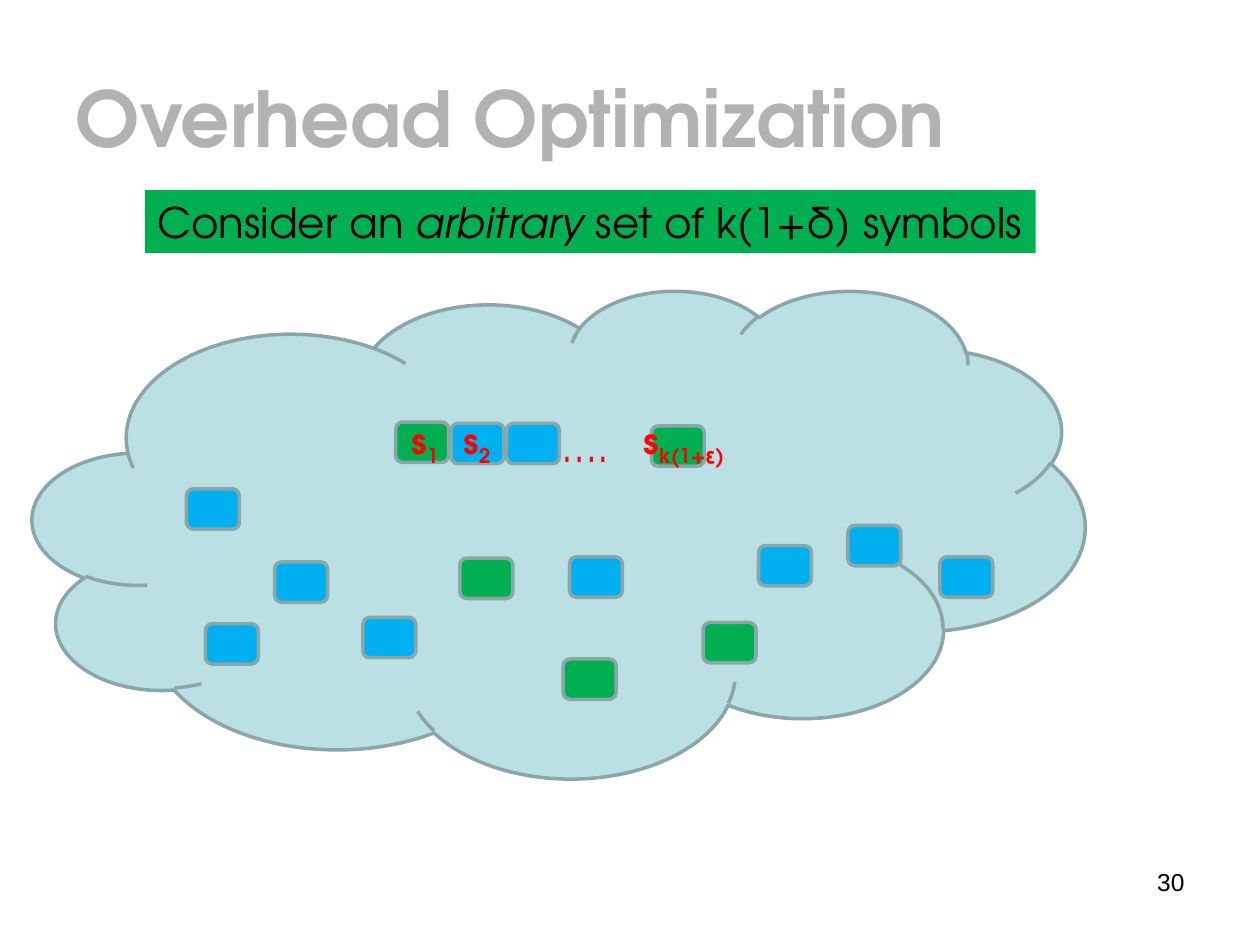
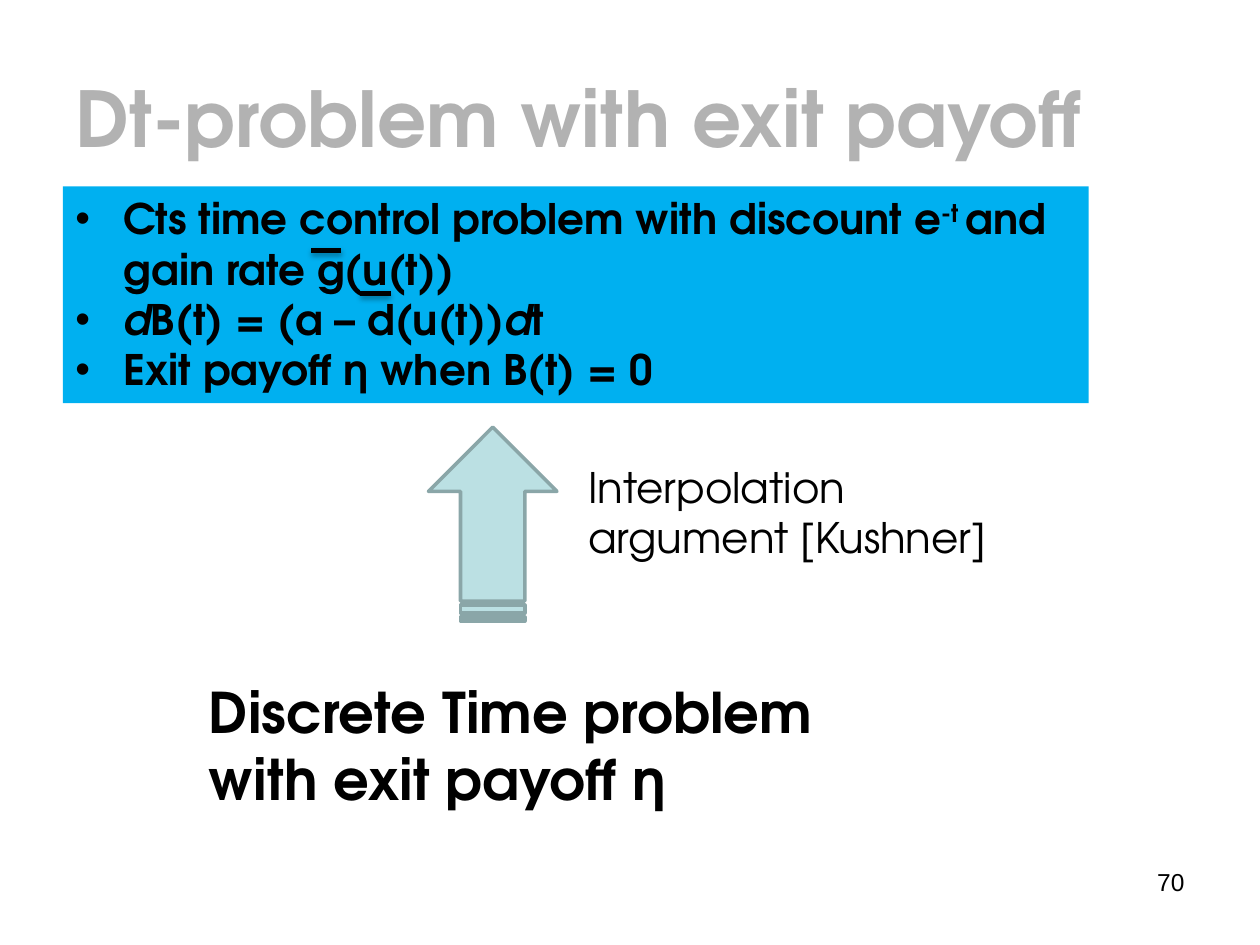
import pptx
import pptx.util
import pptx.dml.color
import pptx.enum.shapes
import pptx.enum.text
import pptx.oxml
import pptx.oxml.ns

Inches = pptx.util.Inches
Pt = pptx.util.Pt
KIND = pptx.enum.shapes.MSO_SHAPE
ALIGN = pptx.enum.text.PP_ALIGN
ANCHOR = pptx.enum.text.MSO_ANCHOR
FIT = pptx.enum.text.MSO_AUTO_SIZE

FACE = "TeX Gyre Adventor"
BLACK, GREY, RED = "000000", "B2B2B2", "FF0000"
BLUE, GREEN, PALE, EDGE = "00B0F0", "00B050", "BBE0E3", "8AA6A8"

# A run is plain text or (text, style): "i" italic, or a baseline shift in percent.
CLAIM = ["Consider an ", ("arbitrary", "i"), " set of k(1+δ) symbols"]
TILE = (0.42, 0.32)
TILES = {
    BLUE: [(3.58, 3.36), (4.02, 3.36), (2.18, 4.46), (1.63, 4.95),
           (6.02, 4.33), (2.88, 4.9), (4.52, 4.42), (7.46, 4.42),
           (1.48, 3.88), (6.73, 4.17)],
    GREEN: [(3.14, 3.35), (5.17, 3.38), (5.58, 4.94), (4.47, 5.23),
            (3.65, 4.43)],
}
MARKS = [(3.17, 0.5, "1"), (3.58, 0.5, "2"), (5.01, 0.96, "k(1+ε)")]

MODEL = [
    ["Cts time control problem with discount e", ("-t ", 30),
     "and gain rate g(u(t))"],
    [("d", "i"), "B(t) = (a – d(u(t))", ("d", "i"), "t"],
    ["Exit payoff η when B(t) = 0"],
]
BARS = [(2.47, 1.99), (2.86, 2.33)]
BAR = 0.24


def color(code):
    return pptx.dml.color.RGBColor.from_string(code)


def xml(parent, text):
    """Append one drawing element to parent."""
    head, tail = text.split(" ", 1) if " " in text else (text, "")
    space = pptx.oxml.ns.nsdecls("a")
    parent.append(pptx.oxml.parse_xml(f"<a:{head} {space} {tail}"))


def write(slide, at, paras, size, bold=False, ink=BLACK, face=FACE,
          align=ALIGN.LEFT, fill=None, wrap=True, grow=True, bullet=False):
    """Add a text box; paras is a list of lists of runs."""
    box = slide.shapes.add_textbox(*map(Inches, at))
    if fill:
        box.fill.solid()
        box.fill.fore_color.rgb = color(fill)
    frame = box.text_frame
    frame.word_wrap = wrap
    frame.auto_size = FIT.SHAPE_TO_FIT_TEXT if grow else FIT.NONE
    for i, runs in enumerate(paras):
        para = frame.add_paragraph() if i else frame.paragraphs[0]
        para.alignment = align
        if bullet:
            props = para._p.get_or_add_pPr()
            props.set("marL", str(Inches(0.38)))
            props.set("indent", str(-Inches(0.38)))
            xml(props, 'buFont typeface="Arial"/>')
            xml(props, 'buChar char="•"/>')
        font = para.font
        font.name, font.size, font.bold = face, Pt(size), bold
        font.color.rgb = color(ink)
        for item in runs:
            text, style = (item, None) if isinstance(item, str) else item
            run = para.add_run()
            run.text = text
            if style == "i":
                run.font.italic = True
            elif style:
                run._r.get_or_add_rPr().set("baseline", str(style * 1000))
    return frame


def draw(slide, kind, at, fill):
    """Add a preset shape with the shared outline."""
    shape = slide.shapes.add_shape(kind, *map(Inches, at))
    shape.shadow.inherit = False
    shape.fill.solid()
    shape.fill.fore_color.rgb = color(fill)
    shape.line.color.rgb = color(EDGE)
    shape.line.width = Pt(2)
    return shape


def overbar(slide, x, y):
    line = slide.shapes.add_connector(
        pptx.enum.shapes.MSO_CONNECTOR.STRAIGHT,
        Inches(x), Inches(y), Inches(x + BAR), Inches(y))
    line.line.color.rgb = color(BLACK)
    line.line.width = Pt(3)
    xml(line._element.spPr,
        f'effectLst ><a:outerShdw blurRad="{Pt(3.1)}" dist="{Pt(1.8)}" '
        'dir="5400000" rotWithShape="0"><a:srgbClr val="000000">'
        '<a:alpha val="35000"/></a:srgbClr></a:outerShdw></a:effectLst>')


def start(deck, title, number):
    """Add a blank slide with its title and number."""
    slide = deck.slides.add_slide(deck.slide_layouts[6])
    frame = write(slide, (0.5, 0.3, 9, 1.25), [[title]], 44, True, GREY,
                  grow=False)
    frame.vertical_anchor = ANCHOR.MIDDLE
    write(slide, (7.17, 6.83, 2.33, 0.52), [[number]], 14, face="Arial",
          align=ALIGN.RIGHT, grow=False)
    return slide


def overhead(deck):
    slide = start(deck, "Overhead Optimization", "30")
    draw(slide, KIND.CLOUD, (0.26, 2.3, 8.35, 3.87), PALE)
    for fill, spots in TILES.items():
        for spot in spots:
            draw(slide, KIND.ROUNDED_RECTANGLE, spot + TILE, fill)
    write(slide, (4.37, 3.29, 0.7, 0.5), [["…."]], 24, ink=RED)
    for x, wide, index in MARKS:
        write(slide, (x, 3.28, wide, 0.44), [["s", (index, -25)]], 20, True,
              RED, wrap=False)
    write(slide, (1.15, 1.51, 7.07, 0.5), [CLAIM], 24, fill=GREEN, wrap=False)


def payoff(deck):
    slide = start(deck, "Dt-problem with exit payoff", "70")
    arrow = draw(slide, KIND.STRIPED_RIGHT_ARROW, (3.14, 3.65, 1.54, 1.02),
                 PALE)
    arrow.rotation = 270
    write(slide, (4.57, 3.61, 3.42, 0.91),
          [["Interpolation argument [Kushner]"]], 24)
    write(slide, (0.5, 1.48, 8.14, 1.72), MODEL, 24, True, fill=BLUE,
          bullet=True)
    for x, y in BARS:
        overbar(slide, x, y)
    write(slide, (1.56, 5.33, 5.74, 1.18),
          [["Discrete Time problem with exit payoff η"]], 32, True)


def main():
    deck = pptx.Presentation()
    deck.slide_width, deck.slide_height = Inches(10), Inches(7.5)
    overhead(deck)
    payoff(deck)
    deck.save("out.pptx")


if __name__ == "__main__":
    main()
